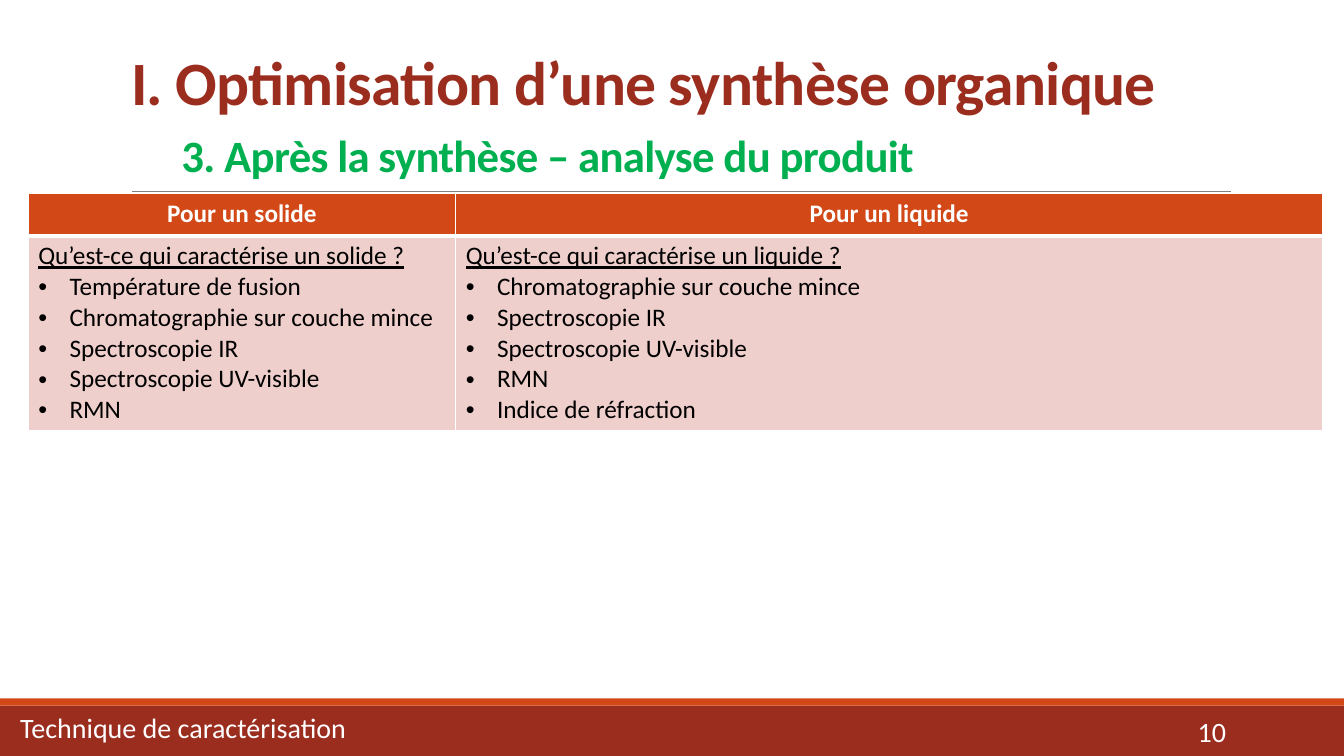
from dataclasses import dataclass

from lxml import etree
from pptx import Presentation
from pptx.dml.color import RGBColor
from pptx.enum import shapes, text
from pptx.oxml import ns
from pptx.util import Inches, Pt


@dataclass(frozen=True)
class Theme:
    font: str = "Calibri"
    brick: str = "9B2D1F"
    orange: str = "D34817"
    green: str = "00B050"
    gray: str = "808080"
    pink: str = "EFCFCC"
    white: str = "FFFFFF"
    black: str = "000000"
    title_size: int = 44
    tab_size: int = 48
    subtitle_size: int = 32
    footer_size: int = 20
    table_size: int = 18


@dataclass(frozen=True)
class Band:
    top: float
    height: float
    color: str


@dataclass(frozen=True)
class Column:
    width: float
    heading: str
    question: str
    methods: tuple[str, ...]


THEME = Theme()
SLIDE_WIDTH, SLIDE_HEIGHT = 13.33, 7.5
HEADER_HEIGHT, BODY_HEIGHT = 0.42, 1.93
BULLET_INDENT = Inches(0.31)
BANDS = (Band(7, 0.5, THEME.brick), Band(6.93, 0.07, THEME.orange))
COLUMNS = (
    Column(4.24, "Pour un solide", "Qu’est-ce qui caractérise un solide ?",
           ("Température de fusion", "Chromatographie sur couche mince",
            "Spectroscopie IR", "Spectroscopie UV-visible", "RMN")),
    Column(8.6, "Pour un liquide", "Qu’est-ce qui caractérise un liquide ?",
           ("Chromatographie sur couche mince", "Spectroscopie IR",
            "Spectroscopie UV-visible", "RMN", "Indice de réfraction")),
)


def add_span(para, words: str, *, size: int, color: str, bold: bool = False,
             underline: bool = False, spacing: float = 0) -> None:
    span = para.add_run()
    span.text = words
    font = span.font
    font.name, font.size = THEME.font, Pt(size)
    font.bold, font.underline = bold, underline
    font.color.rgb = RGBColor.from_string(color)
    if spacing:
        span._r.get_or_add_rPr().set("spc", str(round(spacing * 100)))


def add_band(page, band: Band) -> None:
    box = page.shapes.add_shape(shapes.MSO_SHAPE.RECTANGLE, 0, Inches(band.top),
                                Inches(SLIDE_WIDTH), Inches(band.height))
    box.shadow.inherit = False
    box.fill.solid()
    box.fill.fore_color.rgb = RGBColor.from_string(band.color)
    box.line.fill.background()


def add_rule(page) -> None:
    """Draw the thin line under the title."""
    rule = page.shapes.add_connector(shapes.MSO_CONNECTOR.STRAIGHT, Inches(1.31),
                                     Inches(1.9), Inches(12.21), Inches(1.9))
    rule.line.width = Pt(0.5)
    rule.line.color.rgb = RGBColor.from_string(THEME.gray)
    etree.SubElement(rule._element.spPr, ns.qn("a:effectLst"))


def fill_title(page) -> None:
    box = page.shapes.title
    box.left, box.top, box.width, box.height = map(Inches, (1.2, 0.31, 11, 1.59))
    frame = box.text_frame
    frame.auto_size = text.MSO_AUTO_SIZE.NONE
    frame.vertical_anchor = text.MSO_ANCHOR.BOTTOM
    para = frame.paragraphs[0]
    para.alignment = text.PP_ALIGN.LEFT
    para.line_spacing = 0.85
    add_span(para, "I. Optimisation d’une synthèse organique", bold=True,
             size=THEME.title_size, color=THEME.brick, spacing=-0.5)
    para.add_line_break()
    add_span(para, "\t", size=THEME.tab_size, color=THEME.green)
    add_span(para, "3. Après la synthèse – analyse du produit", bold=True,
             size=THEME.subtitle_size, color=THEME.green, spacing=-0.5)


def add_footer_text(page, words: str, *, left: float, top: float, width: float,
                    height: float, align=text.PP_ALIGN.LEFT,
                    anchor=text.MSO_ANCHOR.TOP, inset: float = 0.1,
                    line_spacing: float = 1.0) -> None:
    box = page.shapes.add_textbox(*map(Inches, (left, top, width, height)))
    frame = box.text_frame
    frame.word_wrap = True
    frame.vertical_anchor = anchor
    frame.margin_left = Inches(inset)
    para = frame.paragraphs[0]
    para.alignment = align
    para.line_spacing = line_spacing
    add_span(para, words, size=THEME.footer_size, color=THEME.white)


def add_bullet(para) -> None:
    props = para._p.get_or_add_pPr()
    props.set("marL", str(BULLET_INDENT))
    props.set("indent", str(-BULLET_INDENT))
    etree.SubElement(props, ns.qn("a:buFont"), typeface="Arial")
    etree.SubElement(props, ns.qn("a:buChar"), char="•")


def style_cell(cell, color: str, bottom_width: float) -> None:
    """Give a cell white borders and a plain fill."""
    props = cell._tc.get_or_add_tcPr()
    for side, width in (("L", 1), ("R", 1), ("T", 1), ("B", bottom_width)):
        border = etree.SubElement(props, ns.qn(f"a:ln{side}"), w=str(Pt(width)))
        paint = etree.SubElement(border, ns.qn("a:solidFill"))
        etree.SubElement(paint, ns.qn("a:srgbClr"), val=THEME.white)
    cell.fill.solid()
    cell.fill.fore_color.rgb = RGBColor.from_string(color)


def fill_column(header, body, column: Column) -> None:
    style_cell(header, THEME.orange, 3)
    heading = header.text_frame.paragraphs[0]
    heading.alignment = text.PP_ALIGN.CENTER
    add_span(heading, column.heading, size=THEME.table_size, color=THEME.white,
             bold=True)
    style_cell(body, THEME.pink, 1)
    add_span(body.text_frame.paragraphs[0], column.question,
             size=THEME.table_size, color=THEME.black, underline=True)
    for method in column.methods:
        para = body.text_frame.add_paragraph()
        add_bullet(para)
        add_span(para, method, size=THEME.table_size, color=THEME.black)


def add_methods_table(page) -> None:
    width = sum(column.width for column in COLUMNS)
    table = page.shapes.add_table(
        2, len(COLUMNS), Inches(0.28), Inches(1.92), Inches(width),
        Inches(HEADER_HEIGHT + BODY_HEIGHT)).table
    table.rows[0].height = Inches(HEADER_HEIGHT)
    table.rows[1].height = Inches(BODY_HEIGHT)
    for index, column in enumerate(COLUMNS):
        table.columns[index].width = Inches(column.width)
        fill_column(table.cell(0, index), table.cell(1, index), column)


def main() -> None:
    deck = Presentation()
    deck.slide_width, deck.slide_height = Inches(SLIDE_WIDTH), Inches(SLIDE_HEIGHT)
    page = deck.slides.add_slide(deck.slide_layouts.get_by_name("Title Only"))
    for band in BANDS:
        add_band(page, band)
    add_rule(page)
    fill_title(page)
    add_footer_text(page, "10", left=10.83, top=7.06, width=1.43, height=0.4,
                    align=text.PP_ALIGN.RIGHT, anchor=text.MSO_ANCHOR.MIDDLE)
    add_footer_text(page, "Technique de caractérisation", left=0, top=7.04,
                    width=11.81, height=0.46, inset=0.2, line_spacing=0.9)
    add_methods_table(page)
    deck.save("out.pptx")


if __name__ == "__main__":
    main()
